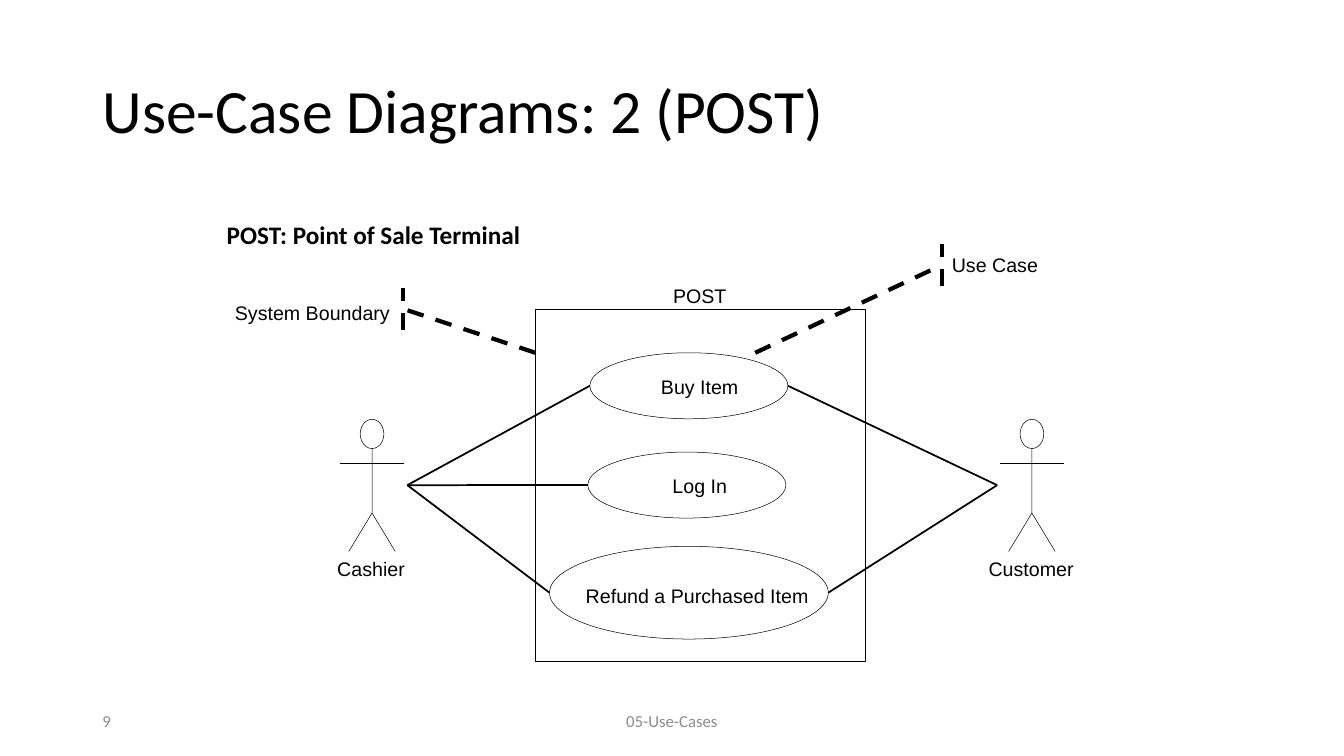
from lxml.etree import SubElement
from pptx import Presentation
from pptx.dml.color import RGBColor
from pptx.enum.dml import MSO_LINE
from pptx.enum.shapes import MSO_CONNECTOR, MSO_SHAPE
from pptx.enum.text import MSO_ANCHOR, MSO_AUTO_SIZE, PP_ALIGN
from pptx.oxml.ns import qn
from pptx.util import Inches, Pt

# Content: all lengths are in grid cells of a tenth of an inch
CELL = Inches(0.1)
COLORS = {"ink": "000000", "paper": "FFFFFF", "muted": "8C8C8C"}
THIN, MEDIUM, THICK = 0.38, 1.25, 3

TITLE = ("Use-Case Diagrams: 2 (POST)", (9.17, 4, 115, 14.5))
SUBTITLE = ("POST: Point of Sale Terminal", (21.5, 21.25, 31.4, 4))
FOOTERS = [
    ("9", (9.17, 69.5, 30, 4), PP_ALIGN.LEFT),
    ("05-Use-Cases", (44.15, 69.5, 45, 4), PP_ALIGN.CENTER),
]
BOUNDARY = (53.1, 30.7, 32.7, 34.9)
BOUNDARY_LABEL = ("POST", 66.75, 28.15, 5.5)

# name: oval left, top, width, height; label left, top, width
USE_CASES = {
    "Buy Item": ((58.5, 35, 19.65, 6.55), (65.55, 37.2, 7.9)),
    "Log In": ((58.3, 44.85, 19.65, 6.55), (66.7, 47, 5.6)),
    "Refund a Purchased Item": ((54.5, 54.2, 27.65, 9.2), (58.1, 57.9, 22.3)),
}
# name, centre column, column where links meet, oval side linked, label width, use cases
LINK_ROW, ACTOR_TOP, LABEL_ROW = 48.13, 41.6, 55.25
ACTORS = [
    ("Customer", 102.35, 98.9, 1, 8.6, ["Buy Item", "Refund a Purchased Item"]),
    ("Cashier", 36.9, 40.4, 0, 6.9, list(USE_CASES)),
]
# text, label left, top, width; pointed-at spot; middle of the tick
CALLOUTS = [
    ("Use Case", (94.4, 25.1, 8.7), (74.9, 35), (93.4, 26.3)),
    ("System Boundary", (23.3, 29.9, 15.6), (53.1, 35), (40, 30.65)),
]
TICK = 2.1


# Helpers
def cells(*values):
    return [round(value * CELL) for value in values]


def color(name):
    return RGBColor.from_string(COLORS[name])


def style_line(shape, weight):
    shape.line.color.rgb = color("ink")
    shape.line.width = Pt(weight)


def add_outline(preset, bounds, filled):
    shape = page.shapes.add_shape(preset, *cells(*bounds))
    shape.shadow.inherit = False
    if filled:
        shape.fill.solid()
        shape.fill.fore_color.rgb = color("paper")
    else:
        shape.fill.background()
    style_line(shape, THIN)


def add_strokes(strokes, weight):
    builder = None
    for start, *rest in strokes:
        if builder is None:
            builder = page.shapes.build_freeform(*cells(*start))
        else:
            builder.move_to(*cells(*start))
        builder.add_line_segments([cells(*point) for point in rest], close=False)
    shape = builder.convert_to_shape()
    shape.shadow.inherit = False
    shape.fill.background()
    style_line(shape, weight)
    return shape


def add_link(start, end):
    link = page.shapes.add_connector(MSO_CONNECTOR.STRAIGHT, *cells(*start, *end))
    style_line(link, MEDIUM)
    SubElement(link._element.spPr, qn("a:effectLst"))


def set_text(box, text, size, font, ink="ink", bold=False, align=PP_ALIGN.LEFT):
    para = box.text_frame.paragraphs[0]
    para.text = text
    para.alignment = align
    para.font.size, para.font.name, para.font.bold = Pt(size), font, bold
    para.font.color.rgb = color(ink)
    return para


def keep_on_one_line(frame):
    frame.word_wrap = False
    frame.auto_size = MSO_AUTO_SIZE.SHAPE_TO_FIT_TEXT


def add_label(text, left, top, width):
    box = page.shapes.add_textbox(*cells(left, top, width, 2.4))
    frame = box.text_frame
    frame.margin_left = frame.margin_right = frame.margin_top = frame.margin_bottom = 0
    keep_on_one_line(frame)
    set_text(box, text, 14, "Arial")


def add_actor(name, center, label_width):
    head_width, head_height = 2.35, 2.9
    neck = ACTOR_TOP + head_height
    arms, hips, feet = neck + 1.5, neck + 6.4, neck + 10.2
    add_outline(MSO_SHAPE.OVAL,
                (center - head_width / 2, ACTOR_TOP, head_width, head_height), True)
    add_strokes([
        [(center - 3.15, arms), (center + 3.15, arms)],
        [(center, hips), (center + 2.3, feet)],
        [(center, neck), (center, hips), (center - 2.3, feet)],
    ], THIN)
    add_label(name, center - label_width / 2, LABEL_ROW, label_width)


# Page, title and footers
deck = Presentation()
deck.slide_width, deck.slide_height = Inches(13.33), Inches(7.5)
page = deck.slides.add_slide(deck.slide_layouts[5])

title = page.shapes.title
title.left, title.top, title.width, title.height = cells(*TITLE[1])
title.text_frame.vertical_anchor = MSO_ANCHOR.MIDDLE
set_text(title, TITLE[0], 44, "Calibri").line_spacing = 0.9

for text, bounds, align in FOOTERS:
    footer = page.shapes.add_textbox(*cells(*bounds))
    footer.text_frame.word_wrap = True
    footer.text_frame.vertical_anchor = MSO_ANCHOR.MIDDLE
    set_text(footer, text, 12, "Calibri", "muted", align=align)

# Actors and use cases
for name, center, _, _, label_width, _ in ACTORS:
    add_actor(name, center, label_width)
for name, (oval, label) in USE_CASES.items():
    add_outline(MSO_SHAPE.OVAL, oval, True)
    add_label(name, *label)

# Links from each actor to the near side of its use cases
for _, _, hub, side, _, linked in ACTORS:
    for name in linked:
        left, top, width, height = USE_CASES[name][0]
        add_link((hub, LINK_ROW), (left + side * width, top + height / 2))

# System boundary
add_outline(MSO_SHAPE.RECTANGLE, BOUNDARY, False)
add_label(*BOUNDARY_LABEL)

# Dashed callouts
for text, label, target, (column, row) in CALLOUTS:
    callout = add_strokes([
        [target, (column, row)],
        [(column, row + TICK), (column, row - TICK)],
    ], THICK)
    callout.line.dash_style = MSO_LINE.DASH
    add_label(text, *label)

subtitle = page.shapes.add_textbox(*cells(*SUBTITLE[1]))
keep_on_one_line(subtitle.text_frame)
set_text(subtitle, SUBTITLE[0], 18, "Calibri", bold=True)

deck.save("out.pptx")
